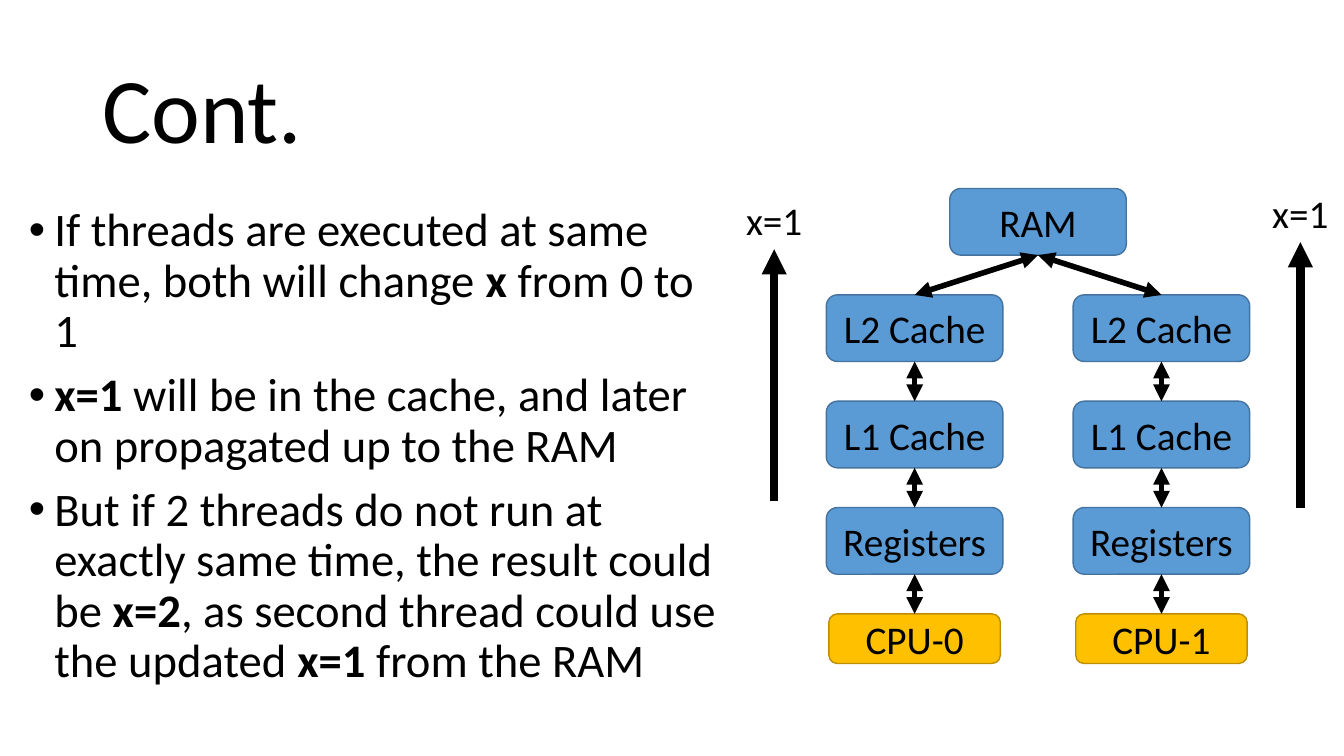
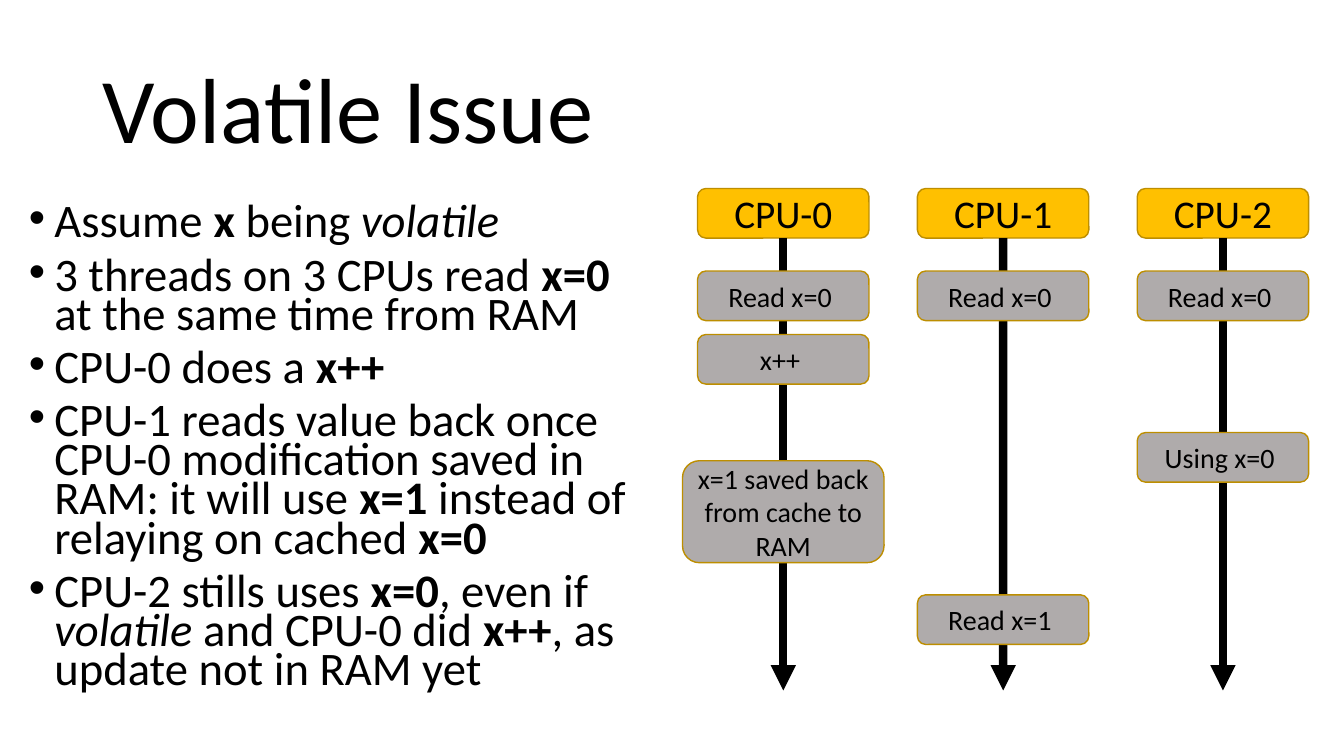
"""Builds two slides on cache propagation and the volatile issue."""
from lxml.etree import SubElement
from pptx import Presentation
from pptx.dml.color import RGBColor
from pptx.enum.shapes import MSO_CONNECTOR as Connector, MSO_SHAPE as Shape
from pptx.enum.text import MSO_ANCHOR as Anchor, PP_ALIGN as Align
from pptx.oxml.ns import qn
from pptx.util import Cm, Pt

FONT = "Calibri"
color = RGBColor.from_string
BLACK = color("000000")
BLUE, BLUE_EDGE = color("5B9BD5"), color("43739E")
GOLD, GOLD_EDGE = color("FFC000"), color("BD8E00")
GRAY = color("AFABAB")
TOP = 4.75
CPU_WIDTH, CPU_HEIGHT = 4.32, 1.25


def add_box(page, center, top, width, height, text, size=28, fill=None, edge=None):
    """Add a centred label, as a rounded box when a fill is given."""
    place = Cm(center - width / 2), Cm(top), Cm(width), Cm(height)
    if fill is None:
        box = page.shapes.add_textbox(*place)
    else:
        box = page.shapes.add_shape(Shape.ROUNDED_RECTANGLE, *place)
        box.shadow.inherit = False
        box.fill.solid()
        box.fill.fore_color.rgb = fill
        box.line.color.rgb = edge
        box.line.width = Pt(1)
        box.text_frame.vertical_anchor = Anchor.MIDDLE
    box.text_frame.word_wrap = fill is not None
    para = box.text_frame.paragraphs[0]
    para.text = text
    para.alignment = Align.CENTER
    para.font.name, para.font.size = FONT, Pt(size)
    para.font.color.rgb = BLACK
    return box


def add_arrow(page, upper, x, y, width, ends):
    """Draw an arrow from the bottom of a box to a point."""
    arrow = page.shapes.add_connector(Connector.STRAIGHT, 0, 0, Cm(x), Cm(y))
    arrow.begin_connect(upper, 2)
    arrow.line.color.rgb = BLACK
    arrow.line.width = Pt(width)
    properties = arrow.element.spPr
    for end in ends:
        SubElement(properties.find(qn("a:ln")), qn(f"a:{end}"), type="triangle")
    SubElement(properties, qn("a:effectLst"))
    return arrow


deck = Presentation()
deck.slide_width, deck.slide_height = Cm(33.87), Cm(19.05)

contents = [
    ("Cont.", 18.06, 0.9, [
        "If threads are executed at same time, both will change *x* from 0 to 1",
        "*x=1* will be in the cache, and later on propagated up to the RAM",
        "But if 2 threads do not run at exactly same time, the result could be *x=2*, "
        "as second thread could use the updated *x=1* from the RAM",
    ]),
    ("Volatile Issue", 16.33, 0.7, [
        "Assume *x* being _volatile_",
        "3 threads on 3 CPUs read *x=0* at the same time from RAM",
        "CPU-0 does a *x++*",
        "CPU-1 reads value back once CPU-0 modification saved in RAM: it will use "
        "*x=1* instead of relaying on cached *x=0*",
        "CPU-2 stills uses *x=0*, even if _volatile_ and CPU-0 did *x++*, "
        "as update not in RAM yet",
    ]),
]

pages = []
for title, body_width, spacing, bullets in contents:
    page = deck.slides.add_slide(deck.slide_layouts[6])
    pages.append(page)
    frame = page.shapes.add_textbox(Cm(2.33), Cm(1.01), Cm(29.21), Cm(3.68)).text_frame
    frame.word_wrap = True
    frame.vertical_anchor = Anchor.MIDDLE
    para = frame.paragraphs[0]
    para.text = title
    para.line_spacing = 0.9
    para.font.name, para.font.size = FONT, Pt(66)
    para.font.color.rgb = BLACK

    frame = page.shapes.add_textbox(Cm(0.48), Cm(5.08), Cm(body_width), Cm(13.74)).text_frame
    frame.word_wrap = True
    for number, bullet in enumerate(bullets):
        para = frame.add_paragraph() if number else frame.paragraphs[0]
        para.line_spacing = spacing
        para.space_before = Pt(10)
        layout = para._p.get_or_add_pPr()
        layout.set("marL", str(Cm(0.64)))
        layout.set("indent", str(-Cm(0.64)))
        SubElement(layout, qn("a:buFont"), typeface="Arial")
        SubElement(layout, qn("a:buChar"), char="•")
        para.font.name, para.font.size = FONT, Pt(33.3)
        para.font.color.rgb = BLACK
        for bold, part in enumerate(bullet.split("*")):
            for italic, piece in enumerate(part.split("_")):
                if piece:
                    span = para.add_run()
                    span.text = piece
                    if bold % 2:
                        span.font.bold = True
                    if italic % 2:
                        span.font.italic = True

cache_page, volatile_page = pages

ROW_STEP = 2.68
CORES = [23.05, 29.27]
ram = add_box(cache_page, sum(CORES) / 2, TOP, 4.45, 1.68, "RAM", 28, BLUE, BLUE_EDGE)
for core, center in enumerate(CORES):
    upper = ram
    for row, name in enumerate(["L2 Cache", "L1 Cache", "Registers", f"CPU-{core}"], 1):
        top = TOP + row * ROW_STEP
        if name.startswith("CPU"):
            style = CPU_WIDTH, CPU_HEIGHT, name, 28, GOLD, GOLD_EDGE
        else:
            style = 4.45, 1.68, name, 28, BLUE, BLUE_EDGE
        box = add_box(cache_page, center, top, *style)
        link = add_arrow(cache_page, upper, center, top, 4, ["headEnd", "tailEnd"])
        link.end_connect(box, 0)
        upper = box

for center, top, bottom in [(19.51, 4.83, 12.62), (32.77, 4.65, 12.8)]:
    label = add_box(cache_page, center, top, 1.96, 1.45, "x=1")
    add_arrow(cache_page, label, center, bottom, 6, ["headEnd"])

READ = (6.83, CPU_WIDTH, CPU_HEIGHT, "Read x=0 ")
lanes = [
    [READ, (8.43, CPU_WIDTH, CPU_HEIGHT, "x++ "),
     (11.61, 5.08, 2.57, "x=1 saved back from cache to RAM")],
    [READ, (14.99, CPU_WIDTH, CPU_HEIGHT, "Read x=1 ")],
    [READ, (10.9, CPU_WIDTH, CPU_HEIGHT, "Using x=0 ")],
]
for lane, steps in enumerate(lanes):
    center = 19.74 + lane * 5.54
    cpu = add_box(volatile_page, center, TOP, CPU_WIDTH, CPU_HEIGHT, f"CPU-{lane}",
                  28, GOLD, GOLD_EDGE)
    add_arrow(volatile_page, cpu, center, 17.4, 6, ["tailEnd"])
    for step in steps:
        add_box(volatile_page, center, *step, 20, GRAY, GOLD_EDGE)

deck.save("out.pptx")
